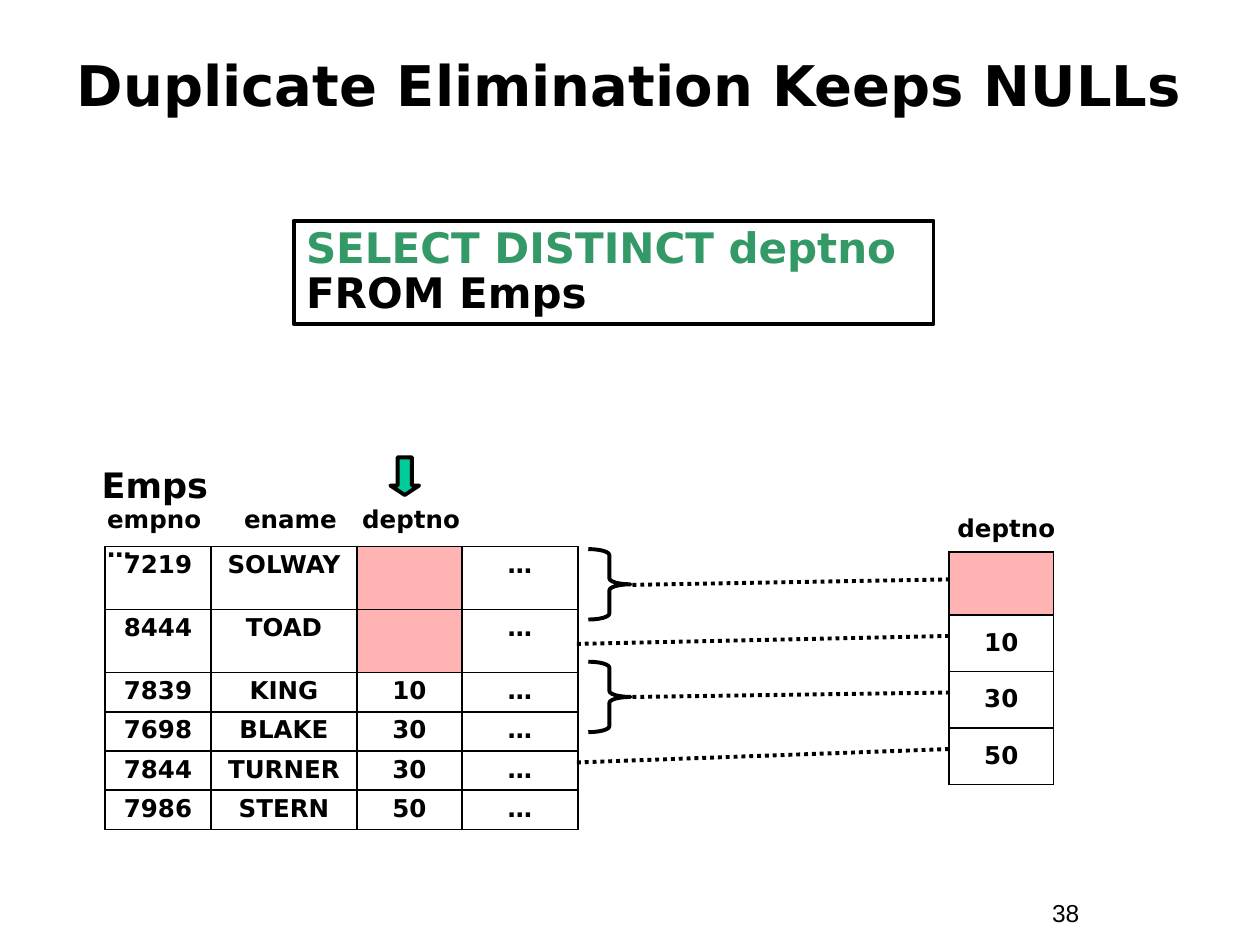
from lxml.etree import SubElement
from pptx import Presentation
from pptx.dml.color import RGBColor
from pptx.enum.dml import MSO_LINE
from pptx.enum.shapes import MSO_CONNECTOR, MSO_SHAPE
from pptx.enum.text import MSO_ANCHOR as Anchor, PP_ALIGN as Align
from pptx.oxml.ns import qn
from pptx.util import Cm, Pt

COLORS = {"ink": "000000", "keyword": "339966", "null": "FFB3B3", "arrow": "00CC99"}


def rgb(name):
    return RGBColor.from_string(COLORS[name])


class SlideWriter:
    font = "DejaVu Sans"
    line_width = Pt(2.25)
    border_width = Pt(1.08)

    def __init__(self, slide):
        self.slide = slide

    def style(self, para, size, bold=True, align=Align.LEFT, font=None):
        para.alignment = align
        para.font.name = font or self.font
        para.font.size = Pt(size)
        para.font.bold = bold
        para.font.color.rgb = rgb("ink")

    def outline(self, shape):
        shape.line.color.rgb = rgb("ink")
        shape.line.width = self.line_width

    def text(self, left, top, width, height, words, size,
             tabs=(), anchor=Anchor.TOP, **style):
        box = self.slide.shapes.add_textbox(Cm(left), Cm(top), Cm(width), Cm(height))
        frame = box.text_frame
        frame.word_wrap = True
        frame.vertical_anchor = anchor
        para = frame.paragraphs[0]
        para.text = words
        if tabs:
            tab_list = SubElement(para._p.get_or_add_pPr(), qn("a:tabLst"))
            for stop in tabs:
                SubElement(tab_list, qn("a:tab"), pos=str(Cm(stop)), algn="l")
        self.style(para, size, **style)

    def shape(self, kind, left, top, width, height, fill=None, adjust=()):
        shape = self.slide.shapes.add_shape(kind, Cm(left), Cm(top), Cm(width), Cm(height))
        shape.shadow.inherit = False
        self.paint(shape.fill, fill)
        self.outline(shape)
        for index, value in enumerate(adjust):
            shape.adjustments[index] = value
        return shape

    def query(self, left, top, width, height, lines, size):
        frame = self.shape(MSO_SHAPE.RECTANGLE, left, top, width, height).text_frame
        frame.word_wrap = True
        frame.vertical_anchor = Anchor.TOP
        para = frame.paragraphs[0]
        para.line_spacing = 0.9
        self.style(para, size)
        for index, (words, color) in enumerate(lines):
            if index:
                para.add_line_break()
            span = para.add_run()
            span.text = words
            span.font.color.rgb = rgb(color)

    def dotted_line(self, start_x, start_y, end_x, end_y):
        line = self.slide.shapes.add_connector(
            MSO_CONNECTOR.STRAIGHT, Cm(start_x), Cm(start_y), Cm(end_x), Cm(end_y))
        self.outline(line)
        line.line.dash_style = MSO_LINE.ROUND_DOT
        SubElement(line._element.spPr, qn("a:effectLst"))

    def table(self, left, top, widths, heights, rows, anchor=Anchor.TOP):
        """Draw a bordered grid in which None stands for a NULL cell."""
        table = self.slide.shapes.add_table(
            len(rows), len(widths), Cm(left), Cm(top),
            Cm(sum(widths)), Cm(sum(heights))).table
        table.first_row = table.horz_banding = False
        for column, width in zip(table.columns, widths):
            column.width = Cm(width)
        for row, height, values in zip(table.rows, heights, rows):
            row.height = Cm(height)
            for cell, value in zip(row.cells, values):
                self.borders(cell)
                self.paint(cell.fill, "null" if value is None else None)
                if value is not None:
                    cell.vertical_anchor = anchor
                    para = cell.text_frame.paragraphs[0]
                    para.text = value
                    para.line_spacing = 0.9
                    self.style(para, 14, align=Align.CENTER)

    def borders(self, cell):
        properties = cell._tc.get_or_add_tcPr()
        for side in ("lnL", "lnR", "lnT", "lnB"):
            line = SubElement(properties, qn(f"a:{side}"), w=str(self.border_width))
            fill = SubElement(line, qn("a:solidFill"))
            SubElement(fill, qn("a:srgbClr"), val=COLORS["ink"])

    @staticmethod
    def paint(fill, color):
        if color:
            fill.solid()
            fill.fore_color.rgb = rgb(color)
        else:
            fill.background()


def main():
    deck = Presentation()
    deck.slide_width, deck.slide_height = Cm(25.4), Cm(19.05)
    page = SlideWriter(deck.slides.add_slide(deck.slide_layouts[6]))

    # Page number and title
    page.text(20.96, 17.98, 2.34, 0.86, "38", 14, bold=False, font="Arial")
    page.text(0.84, 0.53, 23.7, 2.34, "Duplicate Elimination Keeps NULLs", 32,
              anchor=Anchor.MIDDLE, align=Align.CENTER)

    # Source table with its name and column heads
    page.text(1.91, 10.03, 8.89, 0.86, "empno\tename\tdeptno\v…", 14, tabs=(2.76, 5.14))
    employees = [
        ("7219", "SOLWAY", None), ("8444", "TOAD", None), ("7839", "KING", "10"),
        ("7698", "BLAKE", "30"), ("7844", "TURNER", "30"), ("7986", "STERN", "50"),
    ]
    page.table(2.12, 11.02, [2.13, 2.95, 2.11, 2.34], [1.27] * 2 + [0.79] * 4,
               [(*employee, "…") for employee in employees])
    page.text(1.8, 9.22, 5.92, 1.12, "Emps", 20)

    # Result table
    result_left, result_step = 19.13, 1.14
    page.table(result_left, 11.13, [2.11], [1.27] + [result_step] * 3,
               [(None,), ("10",), ("30",), ("50",)], Anchor.MIDDLE)
    page.text(19.05, 10.21, 2.97, 0.86, "deptno", 14)

    # Dotted lines from source rows to result rows
    starts = [(12.75, 11.79), (11.63, 12.98), (12.75, 14.05), (11.63, 15.37)]
    for index, (x, y) in enumerate(starts):
        page.dotted_line(x, y, result_left, 11.68 + index * result_step)

    # Braces around merged rows, and the column marker
    for top in (11.07, 13.34):
        page.shape(MSO_SHAPE.RIGHT_BRACE, 11.86, top, 0.85, 1.42, adjust=(0.14, 0.5))
    page.shape(MSO_SHAPE.DOWN_ARROW, 7.87, 9.22, 0.58, 0.76, "arrow", (0.5, 0.33))

    # Query
    page.query(5.92, 4.45, 12.9, 2.08,
               [("SELECT DISTINCT deptno", "keyword"), ("FROM Emps", "ink")], 24)

    deck.save("out.pptx")


if __name__ == "__main__":
    main()
